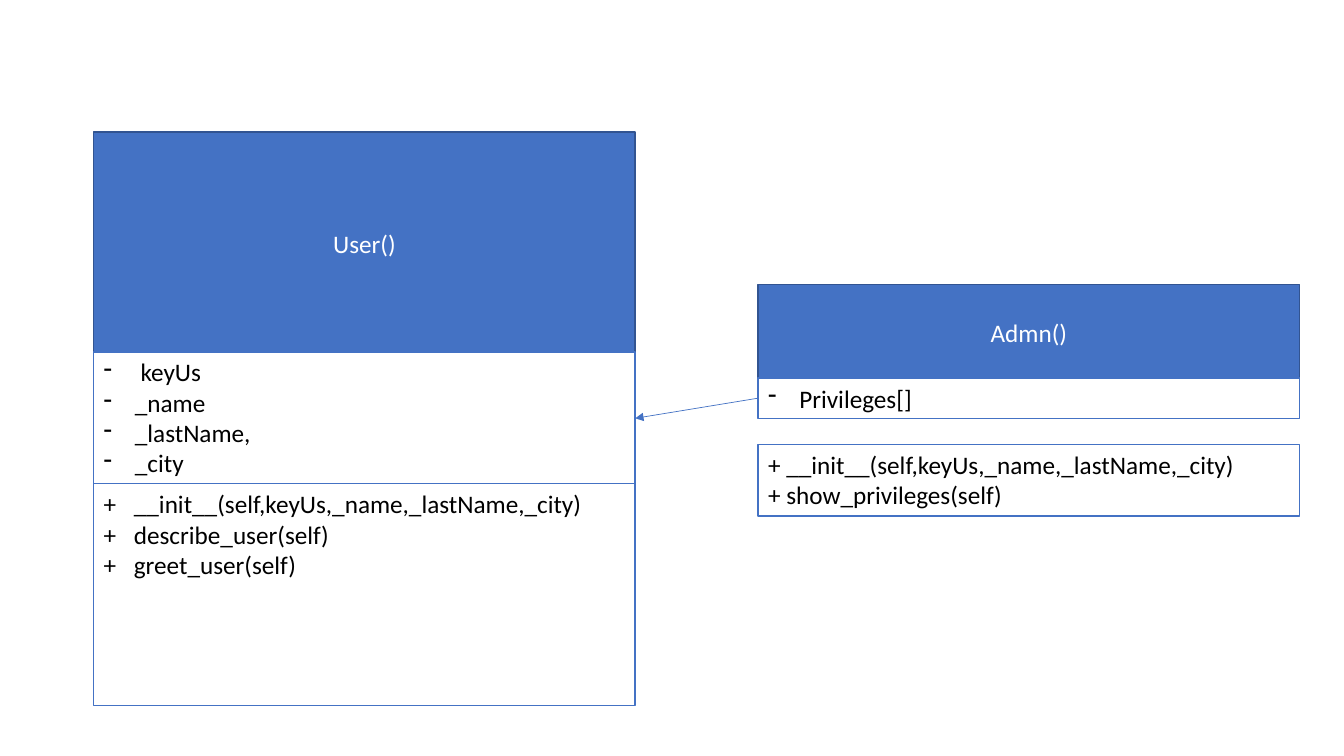
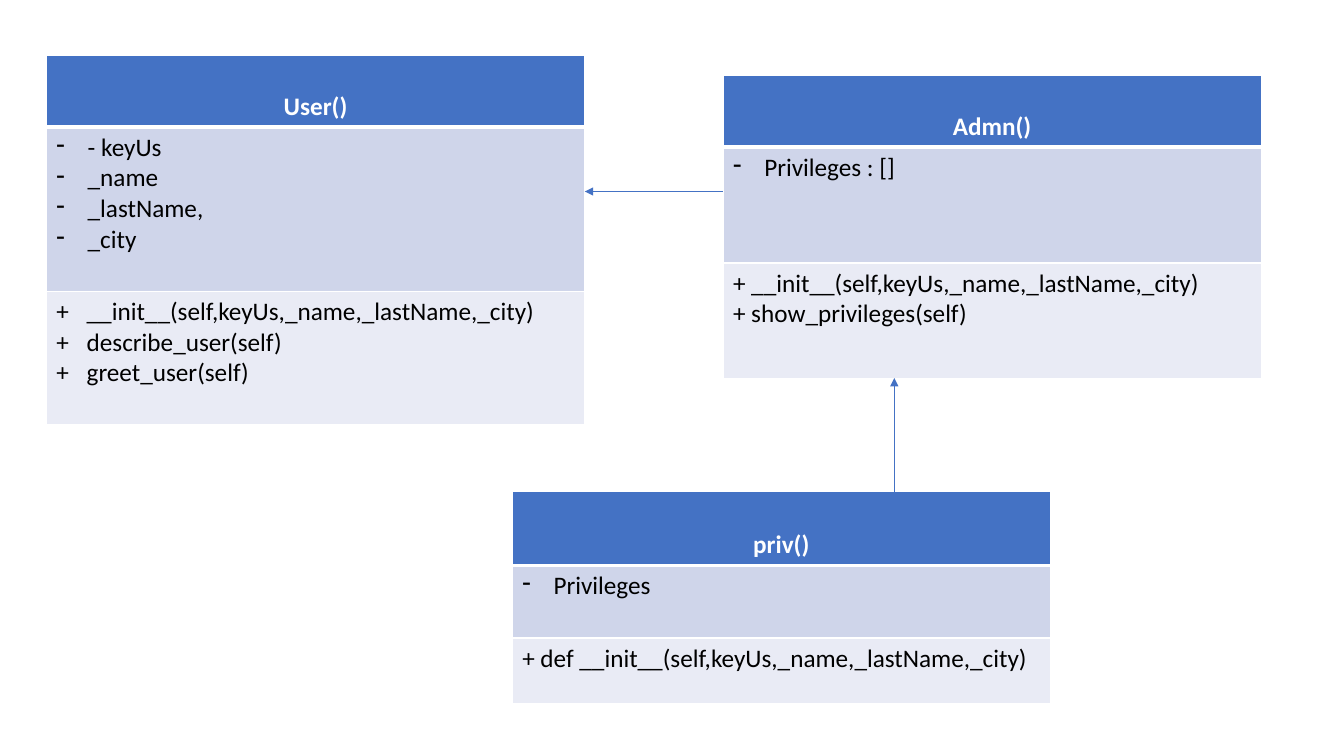
"""Build two class diagrams: one from stacked boxes, one from tables."""
import pptx
import pptx.dml.color
import pptx.enum.shapes
import pptx.enum.text
import pptx.oxml
import pptx.oxml.ns
import pptx.util

Inches = pptx.util.Inches
Pt = pptx.util.Pt
RGBColor = pptx.dml.color.RGBColor
Align = pptx.enum.text.PP_ALIGN
Anchor = pptx.enum.text.MSO_ANCHOR
NAMESPACE = pptx.oxml.ns.nsdecls("a")

BLUE = RGBColor(0x44, 0x72, 0xC4)
DARK_BLUE = RGBColor(0x32, 0x54, 0x91)
PALE_BLUE = RGBColor(0xCF, 0xD5, 0xEA)
PALER_BLUE = RGBColor(0xE9, 0xEB, 0xF5)
WHITE = RGBColor(0xFF, 0xFF, 0xFF)
BLACK = RGBColor(0, 0, 0)
FONT, SIZE = "Calibri", 18
BULLET_INDENT, PLUS_INDENT = 0.31, 0.3
BOX_WIDTH, TABLE_WIDTH = 5.37, 5.34

USER_METHODS = [
    "+\t__init__(self,keyUs,_name,_lastName,_city)",
    "+\tdescribe_user(self)",
    "+\tgreet_user(self)",
]
ADMIN_METHODS = ["+ __init__(self,keyUs,_name,_lastName,_city)", "+ show_privileges(self)"]

BOX_CLASSES = [
    dict(left=0.93, tops=(1.31, 3.49, 4.8), heights=(2.21, 1.32, 2.2), name="User()",
         fields=[" keyUs", "_name", "_lastName,", "_city"], methods=USER_METHODS),
    dict(left=7.52, tops=(2.82, 3.75, 4.41), heights=(0.95, 0.4, 0.71), name="Admn()",
         fields=["Privileges[]"], methods=ADMIN_METHODS),
]
TABLE_CLASSES = [
    dict(left=0.46, top=0.55, heights=(0.71, 1.63, 1.32), name="User()",
         fields=["- keyUs", "_name", "_lastName,", "_city"], methods=USER_METHODS),
    dict(left=7.17, top=0.75, heights=(0.71, 1.15, 1.15), name="Admn()",
         fields=["Privileges : []"], methods=ADMIN_METHODS),
    dict(left=5.08, top=4.88, heights=(0.73, 0.72, 0.65), name="priv()",
         fields=["Privileges"],
         methods=["+ def __init__(self,keyUs,_name,_lastName,_city)"]),
]
TABLE_ARROWS = [((8.87, 4.88), (8.87, 3.75)), ((7.17, 1.9), (5.8, 1.9))]


def write(frame, lines, color=BLACK, align=Align.LEFT, bold=False, bullet=False):
    """Fill a text frame with one formatted paragraph per line."""
    frame.word_wrap = True
    for number, line in enumerate(lines):
        para = frame.add_paragraph() if number else frame.paragraphs[0]
        para.alignment = align
        span = para.add_run()
        span.text = line
        span.font.name, span.font.size = FONT, Pt(SIZE)
        span.font.bold, span.font.color.rgb = bold, color
        indent = BULLET_INDENT if bullet else PLUS_INDENT if "\t" in line else 0
        if indent:
            properties = para._p.get_or_add_pPr()
            properties.set("marL", str(Inches(indent)))
            properties.set("indent", str(-Inches(indent)))
        if bullet:
            properties.append(pptx.oxml.parse_xml(f'<a:buChar {NAMESPACE} char="-"/>'))


def compartments(item):
    """Return the lines and text format of the three parts of a class."""
    return [
        ([item["name"]], dict(color=WHITE, align=Align.CENTER)),
        (item["fields"], dict(bullet=True)),
        (item["methods"], {}),
    ]


def add_box_class(page, item):
    """Draw a class as a group of boxes and return the boxes."""
    group = page.shapes.add_group_shape()
    boxes = []
    for top, height, (lines, style) in zip(item["tops"], item["heights"], compartments(item)):
        heading = not boxes
        box = group.shapes.add_shape(
            pptx.enum.shapes.MSO_SHAPE.RECTANGLE,
            Inches(item["left"]), Inches(top), Inches(BOX_WIDTH), Inches(height))
        box.shadow.inherit = False
        box.fill.solid()
        box.fill.fore_color.rgb = BLUE if heading else WHITE
        box.line.color.rgb = DARK_BLUE if heading else BLUE
        box.line.width = Pt(1)
        box.text_frame.vertical_anchor = Anchor.MIDDLE if heading else Anchor.TOP
        write(box.text_frame, lines, **style)
        boxes.append(box)
    return boxes


def add_borders(cell, bottom):
    """Give a cell white borders with the bottom one of its own width."""
    for side, width in dict(L=1, R=1, T=1, B=bottom).items():
        cell._tc.get_or_add_tcPr().append(pptx.oxml.parse_xml(
            f'<a:ln{side} {NAMESPACE} w="{Pt(width)}"><a:solidFill>'
            f'<a:srgbClr val="{WHITE}"/></a:solidFill></a:ln{side}>'))


def add_table_class(page, item):
    """Draw a class as a table of three rows."""
    table = page.shapes.add_table(
        3, 1, Inches(item["left"]), Inches(item["top"]),
        Inches(TABLE_WIDTH), Inches(sum(item["heights"]))).table
    table.first_row = table.horz_banding = False
    fills = (BLUE, PALE_BLUE, PALER_BLUE)
    for row, (lines, style) in enumerate(compartments(item)):
        heading = row == 0
        table.rows[row].height = Inches(item["heights"][row])
        cell = table.cell(row, 0)
        add_borders(cell, 3 if row < 1 else 1)
        if row == 1:
            cell._tc.tcPr.find(pptx.oxml.ns.qn("a:lnT")).set("w", str(Pt(3)))
        cell.fill.solid()
        cell.fill.fore_color.rgb = fills[row]
        cell.vertical_anchor = Anchor.BOTTOM if heading else Anchor.TOP
        write(cell.text_frame, lines, bold=heading, **style)


def add_arrow(page, start=(0, 0), end=(0, 0)):
    """Draw a thin arrow that points at its end."""
    arrow = page.shapes.add_connector(
        pptx.enum.shapes.MSO_CONNECTOR.STRAIGHT, *map(Inches, (*start, *end)))
    arrow.line.color.rgb = BLUE
    arrow.line.width = Pt(0.5)
    arrow.line._get_or_add_ln().append(
        pptx.oxml.parse_xml(f'<a:tailEnd {NAMESPACE} type="triangle"/>'))
    arrow._element.spPr.append(pptx.oxml.parse_xml(f"<a:effectLst {NAMESPACE}/>"))
    return arrow


def main():
    """Build the deck and save it."""
    deck = pptx.Presentation()
    deck.slide_width, deck.slide_height = Inches(13.33), Inches(7.5)
    box_page, table_page = (deck.slides.add_slide(deck.slide_layouts[6]) for _ in range(2))

    user, admin = [add_box_class(box_page, item) for item in BOX_CLASSES]
    arrow = add_arrow(box_page)
    arrow.begin_connect(admin[1], 1)
    arrow.end_connect(user[1], 3)

    for item in TABLE_CLASSES:
        add_table_class(table_page, item)
    for start, end in TABLE_ARROWS:
        add_arrow(table_page, start, end)
    deck.save("out.pptx")


if __name__ == "__main__":
    main()
